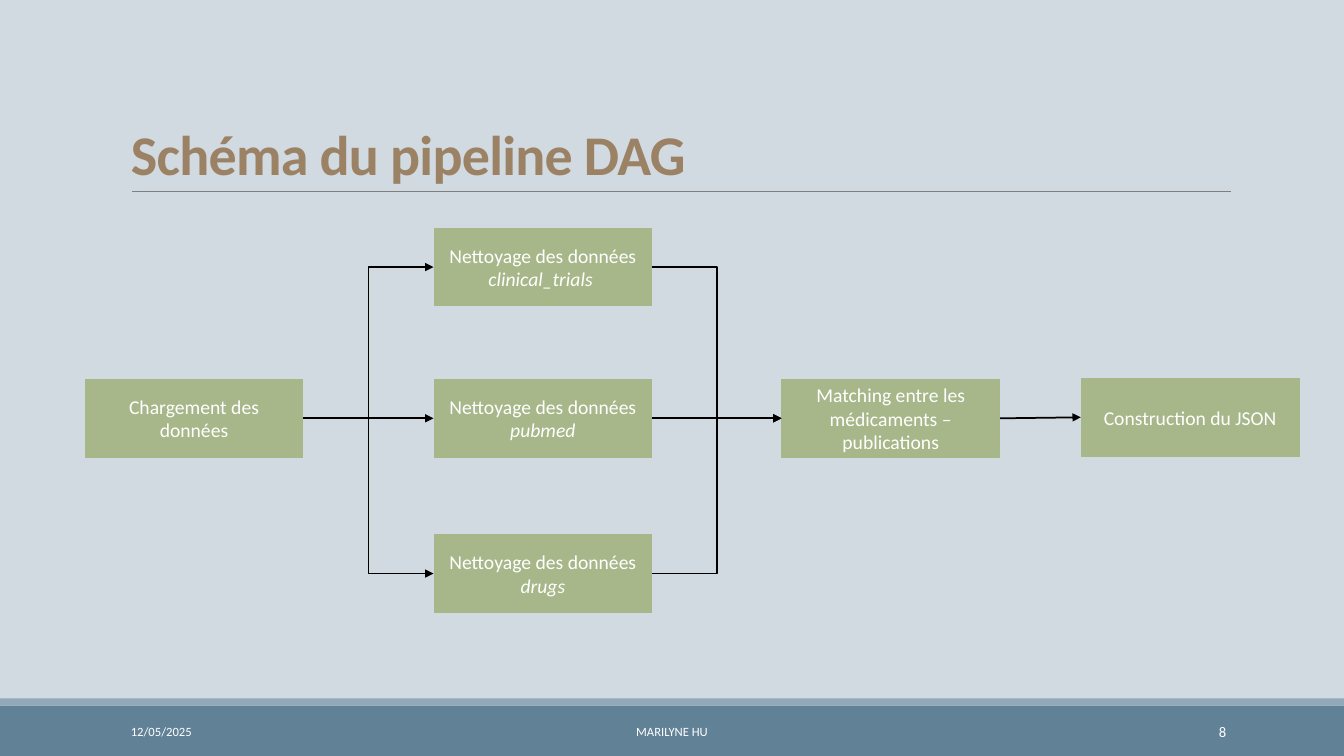
from dataclasses import dataclass

from pptx import Presentation
from pptx.dml.color import RGBColor
from pptx.enum.shapes import MSO_CONNECTOR as CONN, MSO_SHAPE as SHAPE
from pptx.enum.text import MSO_ANCHOR as ANCHOR, PP_ALIGN as ALIGN
from pptx.oxml.ns import qn
from pptx.util import Inches, Pt
from lxml.etree import SubElement


@dataclass(frozen=True)
class Theme:
    font: str = "Calibri"
    background: str = "D1D9E1"
    footer: str = "618197"
    stripe: str = "92A9B9"
    title: str = "9C8265"
    rule: str = "808080"
    box: str = "A7B789"
    arrow: str = "000000"
    white: str = "FFFFFF"
    title_size: float = 40
    box_size: float = 14
    footer_size: float = 9
    number_size: float = 10.5


theme = Theme()


def write(sp, text, size, color=theme.white, align=ALIGN.LEFT,
          anchor=ANCHOR.MIDDLE, bold=False, italic_text="", line_spacing=None):
    tf = sp.text_frame
    tf.word_wrap = True
    tf.vertical_anchor = anchor
    p = tf.paragraphs[0]
    p.alignment = align
    if line_spacing:
        p.line_spacing = line_spacing
    for content, italic in ((text, False), (italic_text, True)):
        if content:
            r = p.add_run()
            r.text = content
            r.font.name = theme.font
            r.font.size = Pt(size)
            r.font.bold = bold
            r.font.italic = italic
            r.font.color.rgb = RGBColor.from_string(color)
    return p


def add_line(kind, start, end, color, width):
    c = s.shapes.add_connector(kind, *(Inches(v) for v in (*start, *end)))
    c.line.color.rgb = RGBColor.from_string(color)
    c.line.width = Pt(width)
    SubElement(c._element.spPr, qn("a:effectLst"))
    return c


prs = Presentation()
prs.slide_width, prs.slide_height = Inches(13.33), Inches(7.5)
s = prs.slides.add_slide(prs.slide_layouts[6])
s.background.fill.solid()
s.background.fill.fore_color.rgb = RGBColor.from_string(theme.background)

# Footer bands
for top, height, color in ((7, 0.5, theme.footer), (6.93, 0.07, theme.stripe)):
    sp = s.shapes.add_shape(SHAPE.RECTANGLE, 0, Inches(top),
                            prs.slide_width, Inches(height))
    sp.shadow.inherit = False
    sp.fill.solid()
    sp.fill.fore_color.rgb = RGBColor.from_string(color)
    sp.line.fill.background()

# Title and its rule
add_line(CONN.STRAIGHT, (1.31, 1.9), (12.21, 1.9), theme.rule, 0.5)
sp = s.shapes.add_textbox(Inches(1.2), Inches(0.68), Inches(11), Inches(1.22))
p = write(sp, "Schéma du pipeline DAG", theme.title_size, color=theme.title,
          anchor=ANCHOR.BOTTOM, bold=True, line_spacing=0.85)
p.runs[0].font._element.set("spc", "-50")

# Footer texts
for left, width, text, size, align in (
    (1.2, 2.7, "12/05/2025", theme.footer_size, ALIGN.LEFT),
    (4.03, 5.27, "MARILYNE HU", theme.footer_size, ALIGN.CENTER),
    (10.83, 1.43, "8", theme.number_size, ALIGN.RIGHT),
):
    sp = s.shapes.add_textbox(Inches(left), Inches(7.06),
                              Inches(width), Inches(0.4))
    write(sp, text, size, align=align)

# Pipeline steps
cleaning = "Nettoyage des données "
steps = {
    "load": (0.84, 3.76, "Chargement des données", ""),
    "trials": (4.3, 2.26, cleaning, "clinical_trials "),
    "pubmed": (4.3, 3.76, cleaning, "pubmed"),
    "drugs": (4.3, 5.3, cleaning, "drugs"),
    "match": (7.75, 3.76, "Matching entre les médicaments – publications", ""),
    "json": (10.72, 3.75, "Construction du JSON", ""),
}
boxes = {}
for name, (left, top, text, italic_text) in steps.items():
    sp = s.shapes.add_shape(SHAPE.FLOWCHART_PROCESS, Inches(left), Inches(top),
                            Inches(2.17), Inches(0.78))
    sp.shadow.inherit = False
    sp.fill.solid()
    sp.fill.fore_color.rgb = RGBColor.from_string(theme.box)
    sp.line.fill.background()
    write(sp, text, theme.box_size, align=ALIGN.CENTER, italic_text=italic_text)
    boxes[name] = sp

# Arrows from the right side of one step to the left side of the next
for source, target, kind in (
    ("load", "pubmed", CONN.STRAIGHT),
    ("load", "trials", CONN.ELBOW),
    ("load", "drugs", CONN.ELBOW),
    ("pubmed", "match", CONN.STRAIGHT),
    ("match", "json", CONN.STRAIGHT),
    ("trials", "match", CONN.ELBOW),
    ("drugs", "match", CONN.ELBOW),
):
    x1, y1 = steps[source][:2]
    x2, y2 = steps[target][:2]
    c = add_line(kind, (x1 + 2.17, y1 + 0.39), (x2, y2 + 0.39),
                 theme.arrow, 1.25)
    c.begin_connect(boxes[source], 3)
    c.end_connect(boxes[target], 1)
    SubElement(c.line._get_or_add_ln(), qn("a:tailEnd"), type="triangle")

prs.save("out.pptx")
